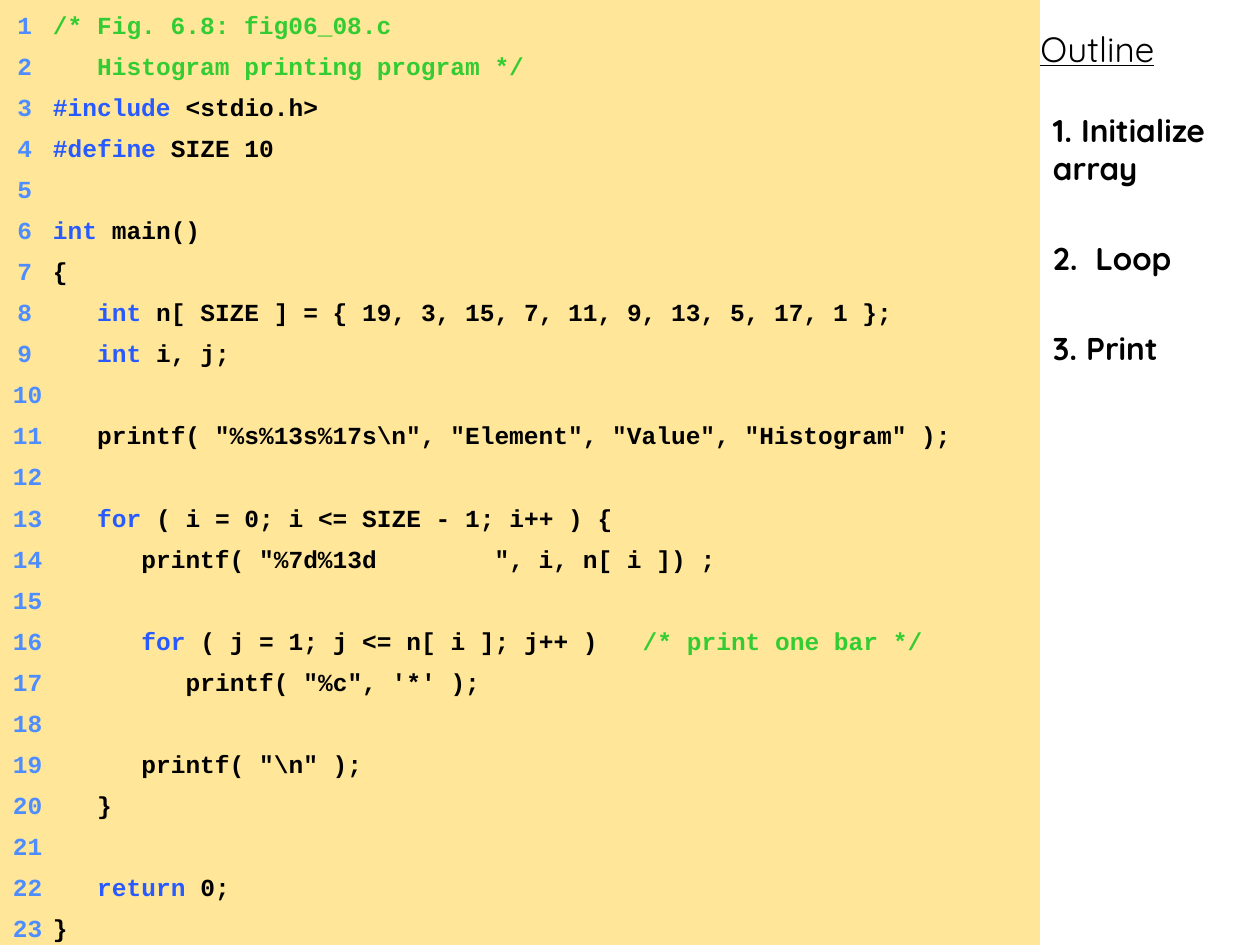
from dataclasses import dataclass

from lxml.etree import SubElement
from pptx import Presentation
from pptx.dml.color import RGBColor
from pptx.enum.shapes import MSO_SHAPE as Shape
from pptx.enum.text import MSO_ANCHOR as Anchor
from pptx.enum.text import MSO_AUTO_SIZE as Fit
from pptx.enum.text import PP_ALIGN as Align
from pptx.oxml.ns import qn
from pptx.util import Pt

SCALE = 914400 / 126
WIDE, HIGH = 1260, 945
CODE_W = 1040
SAND = RGBColor(0xFF, 0xE6, 0x99)
SKY = RGBColor(0x4D, 0x8D, 0xFF)
BLUE = RGBColor(0x27, 0x5A, 0xFF)
GREEN = RGBColor(0x33, 0xCC, 0x33)
BLACK = RGBColor(0, 0, 0)
MONO, SANS = "Courier New", "Quicksand"


@dataclass
class Line:
    lead: int = 0
    key: str = ""
    body: str = ""
    note: str = ""


LINES = [
    Line(note="/* Fig. 6.8: fig06_08.c"),
    Line(3, note="Histogram printing program */"),
    Line(0, "#include", " <stdio.h>"),
    Line(0, "#define", " SIZE 10"),
    Line(),
    Line(0, "int", " main()"),
    Line(body="{"),
    Line(3, "int", " n[ SIZE ] = { 19, 3, 15, 7, 11, 9, 13, 5, 17, 1 };"),
    Line(3, "int", " i, j;"),
    Line(),
    Line(3, body='printf( "%s%13s%17s\\n", "Element", "Value", "Histogram" );'),
    Line(),
    Line(3, "for", " ( i = 0; i <= SIZE - 1; i++ ) {"),
    Line(6, body='printf( "%7d%13d        ", i, n[ i ]) ;'),
    Line(),
    Line(6, "for", " ( j = 1; j <= n[ i ]; j++ )   ", "/* print one bar */"),
    Line(9, body="printf( \"%c\", '*' );"),
    Line(),
    Line(6, body='printf( "\\n" );'),
    Line(3, body="}"),
    Line(),
    Line(3, "return", " 0;"),
    Line(body="}"),
]
STEPS = ["1. Initialize array", "2.  Loop", "3. Print"]
TABS = [(19, "r"), (40, "l")]


def px(num: int) -> int:
    return round(num * SCALE)


def style(run, face: str, size: int, ink: RGBColor, bold: bool = True) -> None:
    font = run.font
    font.name, font.size, font.bold = face, Pt(size), bold
    font.color.rgb = ink


def frame(shape, top: int = 6):
    text = shape.text_frame
    text.word_wrap = True
    text.auto_size = Fit.NONE
    text.vertical_anchor = Anchor.TOP
    text.margin_left = text.margin_right = px(13)
    text.margin_top, text.margin_bottom = px(top), 0
    return text


def place(shape, left: int, top: int, width: int, height: int) -> None:
    shape.left, shape.top = px(left), px(top)
    shape.width, shape.height = px(width), px(height)


def draw_line(slide, num: int, line: Line) -> None:
    top = HIGH * (num - 1) // len(LINES)
    end = HIGH * num // len(LINES)
    bar = slide.shapes.add_shape(
        Shape.RECTANGLE, 0, px(top), px(CODE_W), px(end) - px(top))
    bar.shadow.inherit = False
    bar.fill.solid()
    bar.fill.fore_color.rgb = SAND
    bar.line.fill.background()
    para = frame(bar, 10).paragraphs[0]
    para.alignment = Align.LEFT
    tabs = SubElement(para._p.get_or_add_pPr(), qn("a:tabLst"))
    for pos, side in TABS:
        SubElement(tabs, qn("a:tab"), pos=str(px(pos)), algn=side)
    bits = [(f"\t{num}\t" + " " * line.lead, SKY), (line.key, BLUE),
            (line.body, BLACK), (line.note, GREEN)]
    for word, ink in bits:
        if word:
            run = para.add_run()
            run.text = word
            style(run, MONO, 14, ink)


def draw_title(slide) -> None:
    title = slide.shapes.title
    place(title, 935, 21, 325, 56)
    para = frame(title).paragraphs[0]
    para.text = "Outline"
    para.alignment = Align.CENTER
    style(para.runs[0], SANS, 20, BLACK, False)
    para.runs[0].font.underline = True


def draw_steps(slide) -> None:
    box = slide.shapes.add_textbox(0, 0, 0, 0)
    place(box, CODE_W, 105, WIDE - CODE_W, HIGH - 105)
    text = frame(box)
    text.text = "\n".join(STEPS)
    for num, para in enumerate(text.paragraphs):
        if num:
            para.space_before = Pt(30)
        style(para.runs[0], SANS, 18, BLACK)


def main() -> None:
    deck = Presentation()
    deck.slide_width, deck.slide_height = px(WIDE), px(HIGH)
    slide = deck.slides.add_slide(deck.slide_layouts[5])
    draw_title(slide)
    draw_steps(slide)
    for num, line in enumerate(LINES, 1):
        draw_line(slide, num, line)
    deck.save("out.pptx")


if __name__ == "__main__":
    main()
